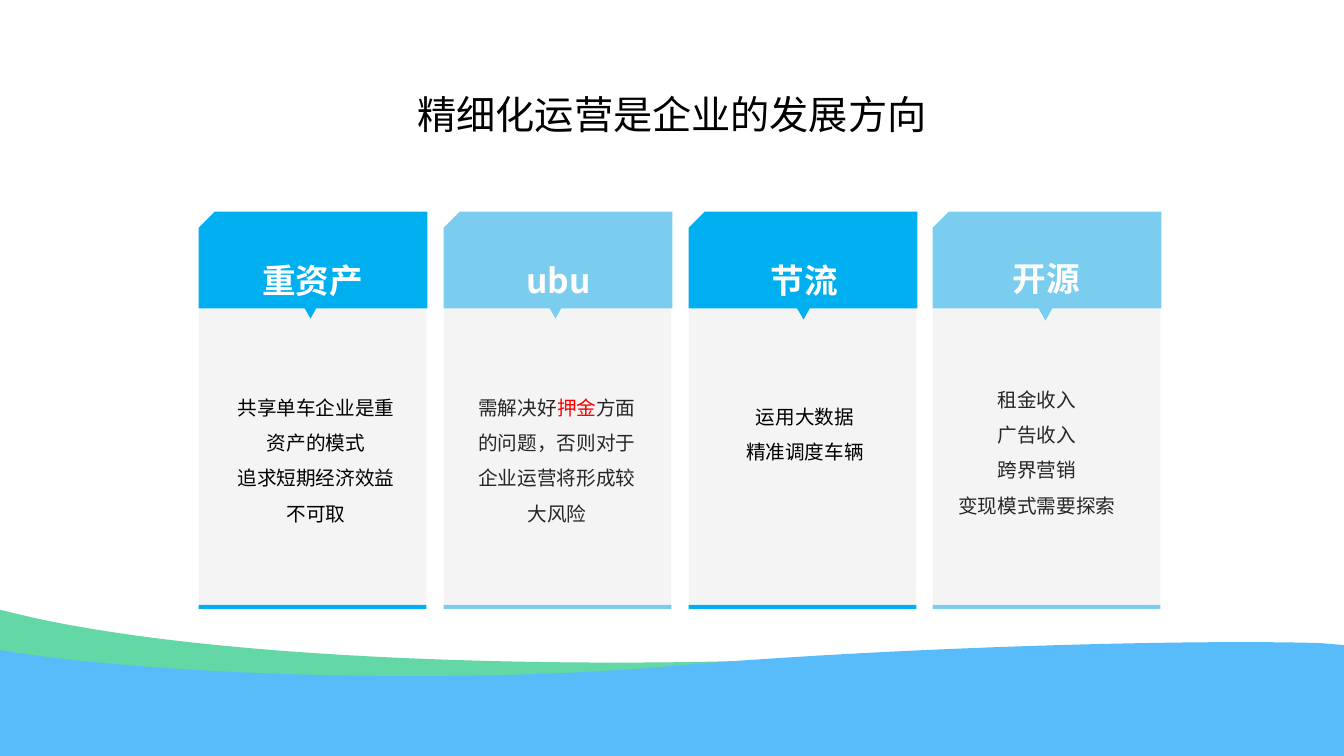
from lxml import etree
from pptx import Presentation
from pptx.dml.color import RGBColor
from pptx.enum.shapes import MSO_SHAPE
from pptx.enum.text import MSO_ANCHOR, MSO_AUTO_SIZE, PP_ALIGN
from pptx.oxml.ns import qn
from pptx.util import Pt

PX = 9144  # 100 px to the inch
WIDTH, HEIGHT = 1333, 750
FONT = "Noto Sans CJK SC"
RECTANGLE = MSO_SHAPE.RECTANGLE
SNIPPED = MSO_SHAPE.SNIP_1_RECTANGLE
TRIANGLE = MSO_SHAPE.ISOSCELES_TRIANGLE
CENTER = PP_ALIGN.CENTER
TOP = MSO_ANCHOR.TOP
NO_AUTOFIT = MSO_AUTO_SIZE.NONE

BRIGHT, PALE = "00AFF0", "7ACDEF"
BLACK, DARK, RED, WHITE = "000000", "262626", "FF0000", "FFFFFF"
PANEL, PANEL_OPACITY = "878787", 9

CARD_TOP, CARD_WIDTH, CARD_HEIGHT = 210, 226, 394

# card left, heading, colour, then offsets from the card's corner of pointer,
# heading and body, and the body paragraphs of (text, colour) runs
CARDS = [
    (197, "重资产", BRIGHT, (104, 87), (48, 23), (20, 166),
     [[("共享单车企业是重资产的模式", BLACK)], [("追求短期经济效益不可取", BLACK)]]),
    (440, "ubu", PALE, (104, 87), (49, 23), (16, 166),
     [[("需解决好", DARK), ("押金", RED),
       ("方面的问题，否则对于企业运营将形成较大风险", DARK)]]),
    (683, "节流", BRIGHT, (107, 88), (50, 23), (19, 175),
     [[("运用大数据", BLACK)], [("精准调度车辆", BLACK)]]),
    (925, "开源", PALE, (105, 89), (48, 21), (7, 158),
     [[(line, DARK)] for line in ("租金收入", "广告收入", "跨界营销", "变现模式需要探索")]),
]

# each wave: colour, straight start, Bézier segments (two controls, end), last point
WAVES = [
    ("63D7A6", [(0, HEIGHT), (0, 605), (34, 613)],
     [((254, 661), (629, 661), (781, 654)), ((932, 647), (1120, 673), (1297, 689))],
     (WIDTH, 691)),
    ("58BBFA", [(0, HEIGHT), (0, 645)],
     [((133, 668), (431, 681), (665, 661)), ((870, 643), (1169, 634), (1309, 638))],
     (WIDTH, 640)),
]


def rgb(color):
    return RGBColor.from_string(color)


def paint(shape, color, opacity=100):
    shape.shadow.inherit = False
    shape.line.fill.background()
    shape.fill.solid()
    shape.fill.fore_color.rgb = rgb(color)
    if opacity < 100:
        color_element = shape._element.spPr.find(".//" + qn("a:srgbClr"))
        etree.SubElement(color_element, qn("a:alpha"), val=str(opacity * 1000))


def add_block(slide, kind, box, color, opacity=100):
    shape = slide.shapes.add_shape(kind, *(length * PX for length in box))
    paint(shape, color, opacity)
    return shape


def write(text_frame, paragraphs, size, bold=False, wrap=True):
    """Fill a frame with centred paragraphs, each a list of (text, colour) runs."""
    text_frame.word_wrap = wrap
    text_frame.auto_size = NO_AUTOFIT
    text_frame.vertical_anchor = TOP
    for index, runs in enumerate(paragraphs):
        paragraph = text_frame.add_paragraph() if index else text_frame.paragraphs[0]
        paragraph.alignment = CENTER
        paragraph.line_spacing = 1.5
        paragraph.space_before = Pt(0)
        for text, color in runs:
            run = paragraph.add_run()
            run.text = text
            run.font.size = Pt(size)
            run.font.bold = bold
            run.font.color.rgb = rgb(color)
            run.font.name = FONT
            etree.SubElement(run._r.get_or_add_rPr(), qn("a:ea"), typeface=FONT)


def add_text(slide, box, paragraphs, size, bold=False):
    text_box = slide.shapes.add_textbox(*(length * PX for length in box))
    write(text_box.text_frame, paragraphs, size, bold)


def add_wave(slide, color, start, segments, end):
    """Draw the outline as lines, then turn each segment's three lines into a curve."""
    controls = [point for segment in segments for point in segment]
    builder = slide.shapes.build_freeform(WIDTH, HEIGHT, scale=PX)
    builder.add_line_segments([*start, *controls, end], close=True)
    shape = builder.convert_to_shape()
    lines = list(shape._element.spPr.iter(qn("a:lnTo")))[len(start):]
    for first in range(0, len(controls), 3):
        curve = etree.Element(qn("a:cubicBezTo"))
        lines[first].addprevious(curve)
        for line in lines[first:first + 3]:
            curve.append(line[0])
            line.getparent().remove(line)
    paint(shape, color)


def add_title(slide, box, text):
    title = slide.shapes.title
    title.left, title.top, title.width, title.height = (length * PX for length in box)
    write(title.text_frame, [[(text, BLACK)]], 28, wrap=False)


def add_card(slide, box, heading, color, pointer_offset, heading_offset, body_offset, body):
    left, top, width, height = box
    header_height, bar_height = 96, 4
    panel_top = top + header_height
    bar_top = top + height - bar_height

    def place(offset, *size):
        return (left + offset[0], top + offset[1], *size)

    add_block(slide, RECTANGLE, (left, panel_top, width, bar_top - panel_top),
              PANEL, PANEL_OPACITY)
    header = add_block(slide, SNIPPED, (left, top, width + 1, header_height), color)
    header._element.spPr.xfrm.set("flipH", "1")
    pointer = add_block(slide, TRIANGLE, place(pointer_offset, 18, 15), color)
    pointer.rotation = 60
    add_block(slide, RECTANGLE, (left, bar_top, width, bar_height), color)
    add_text(slide, place(heading_offset, 130, 71), [[(heading, WHITE)]], 24, bold=True)
    add_text(slide, place(body_offset, 193, 151), body, 14)


def main():
    presentation = Presentation()
    presentation.slide_width = WIDTH * PX
    presentation.slide_height = HEIGHT * PX
    slide = presentation.slides.add_slide(presentation.slide_layouts[5])
    for wave in WAVES:
        add_wave(slide, *wave)
    add_title(slide, (401, 61, 531, 81), "精细化运营是企业的发展方向")
    for left, *content in CARDS:
        add_card(slide, (left, CARD_TOP, CARD_WIDTH, CARD_HEIGHT), *content)
    presentation.save("out.pptx")


if __name__ == "__main__":
    main()
